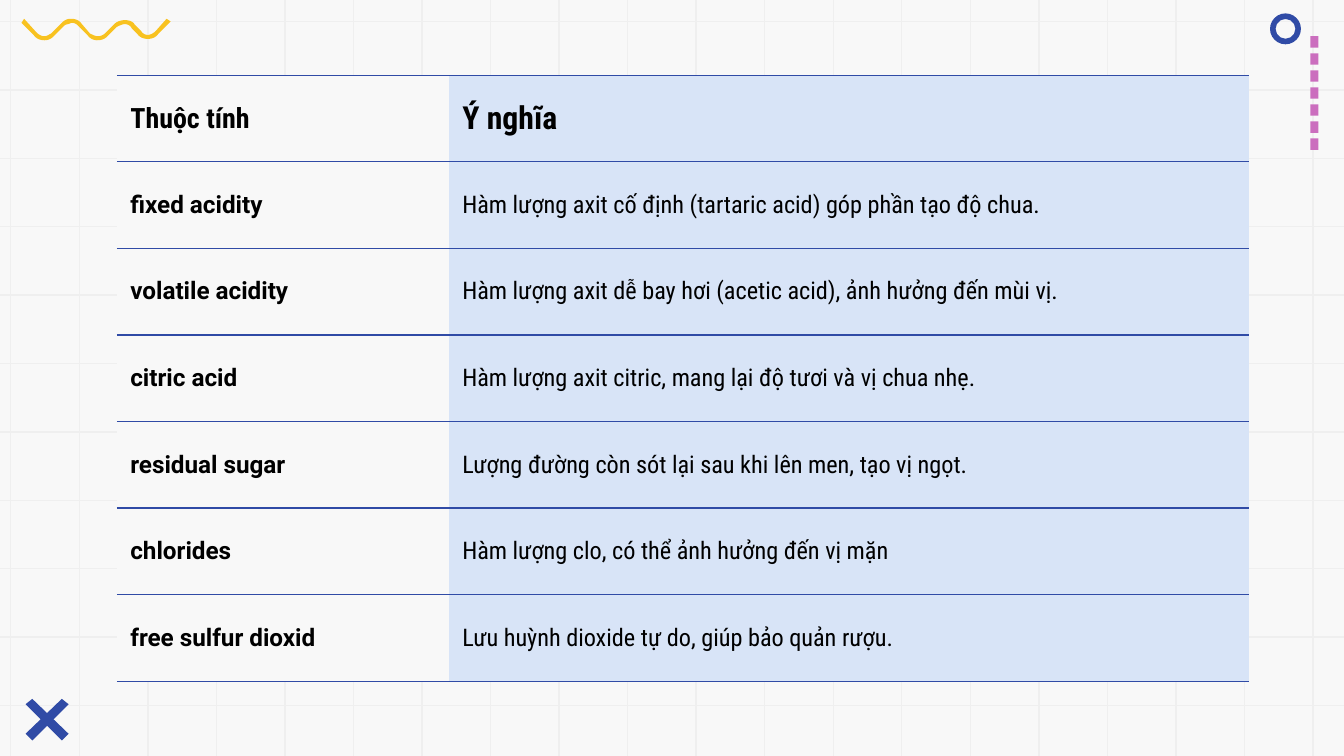
from lxml.etree import SubElement as Sub
from pptx import Presentation
from pptx.dml.color import RGBColor
from pptx.enum.shapes import MSO_CONNECTOR as Conn, MSO_SHAPE as Kind
from pptx.enum.text import MSO_ANCHOR as Anchor
from pptx.oxml import parse_xml
from pptx.oxml.ns import nsdecls, qn
from pptx.util import Pt

WIDE = 1000
HIGH = WIDE * 9 / 16
BLUE, PINK, GOLD = "304BA6", "CB6EBE", "F8C220"
PALE, GRAY, SKY, BLACK = "F8F8F8", "EFEFEF", "D8E4F7", "000000"
SANS, SLIM = "Roboto", "Roboto Condensed"

HEAD = ("Thuộc tính", "Ý nghĩa")
ROWS = [
    ("fixed acidity", "Hàm lượng axit cố định (tartaric acid) góp phần tạo độ chua."),
    ("volatile acidity", "Hàm lượng axit dễ bay hơi (acetic acid), ảnh hưởng đến mùi vị."),
    ("citric acid", "Hàm lượng axit citric, mang lại độ tươi và vị chua nhẹ."),
    ("residual sugar", "Lượng đường còn sót lại sau khi lên men, tạo vị ngọt."),
    ("chlorides", "Hàm lượng clo, có thể ảnh hưởng đến vị mặn"),
    ("free sulfur dioxid", "Lưu huỳnh dioxide tự do, giúp bảo quản rượu."),
]
LEFT, TOP, TALL = 87, 56, 451
COLS = (247, 595)

# Cross: two bars
BARS = [
    [(24, 520), (19, 524), (46, 551), (51, 546)],
    [(46, 520), (19, 546), (24, 551), (51, 524)],
]
# Wave outline: two numbers are a line, six are a curve
WAVE = [
    (18, 14), (16, 17), (25, 26), (27, 29, 30, 30, 33, 30),
    (36, 30, 38, 29, 40, 27), (48, 19), (49, 18, 52, 18, 53, 17),
    (56, 17, 57, 18, 59, 20), (65, 26), (67, 29, 70, 30, 72, 30),
    (76, 30, 78, 29, 80, 27), (87, 20), (89, 19, 91, 18, 93, 18),
    (95, 18, 97, 19, 98, 21), (102, 25), (104, 28, 107, 29, 110, 29),
    (113, 29, 116, 28, 118, 25), (127, 16), (124, 14), (116, 23),
    (114, 25, 112, 26, 110, 26), (108, 26, 106, 25, 105, 23), (100, 18),
    (99, 16, 96, 15, 93, 15), (90, 15, 87, 16, 85, 18), (78, 25),
    (77, 26, 75, 27, 73, 27), (71, 27, 69, 26, 67, 25), (61, 18),
    (59, 15, 56, 14, 53, 14), (50, 14, 48, 15, 46, 17), (38, 25),
    (36, 26, 35, 27, 33, 27), (31, 27, 29, 26, 27, 24),
]


def px(num):
    return round(num * 9144)


def tint(code):
    return RGBColor.from_string(code)


def paint(shape, code):
    shape.shadow.inherit = False
    shape.fill.solid()
    shape.fill.fore_color.rgb = tint(code)
    shape.line.fill.background()


def block(kind, box, code):
    shape = slide.shapes.add_shape(kind, *map(px, box))
    paint(shape, code)
    return shape


def rule(*ends):
    line = slide.shapes.add_connector(Conn.STRAIGHT, *map(px, ends))
    line.line.color.rgb = tint(GRAY)
    line.line.width = Pt(0.75)
    Sub(line._element.spPr, qn("a:effectLst"))


def trace(steps, code, cuts=8):
    dots = []
    for step in steps:
        if len(step) == 2:
            dots.append(step)
            continue
        a, b, c, d = dots[-1], step[:2], step[2:4], step[4:]
        for t in (i / cuts for i in range(1, cuts + 1)):
            u = 1 - t
            dots.append(tuple(
                u**3 * p + 3 * u * u * t * q + 3 * u * t * t * r + t**3 * s
                for p, q, r, s in zip(a, b, c, d)))
    dots = [(px(x), px(y)) for x, y in dots]
    form = slide.shapes.build_freeform(*dots[0], scale=1)
    form.add_line_segments(dots[1:], close=True)
    paint(form.convert_to_shape(), code)


def write(cell, text, size=13, font=SLIM, bold=False, color=BLACK):
    run = cell.text_frame.paragraphs[0].add_run()
    run.text = text
    run.font.size, run.font.name, run.font.bold = Pt(size), font, bold
    run.font.color.rgb = tint(color)


def dress(cell, code):
    cell.vertical_anchor = Anchor.MIDDLE
    cell.margin_left = cell.margin_right = px(10)
    cell.margin_top = cell.margin_bottom = 0
    cell.fill.solid()
    cell.fill.fore_color.rgb = tint(code)
    ink = f'<a:solidFill><a:srgbClr val="{BLUE}"/></a:solidFill>'
    for at, side in enumerate("LRTB"):
        body = ink if side in "TB" else "<a:noFill/>"
        edge = parse_xml(f'<a:ln{side} {nsdecls("a")} w="{Pt(0.75)}">{body}</a:ln{side}>')
        cell._tc.tcPr.insert(at, edge)


deck = Presentation()
deck.slide_width, deck.slide_height = px(WIDE), px(HIGH)
slide = deck.slides.add_slide(deck.slide_layouts[6])
slide.background.fill.solid()
slide.background.fill.fore_color.rgb = tint(PALE)

# Square grid
for i in range(11):
    y = 16 + i * 50.9
    rule(WIDE, y, 0, y)
for i in range(20):
    x = 8 + i * 51
    rule(x, 0, x, HIGH)

# Corner marks
for i in range(7):
    block(Kind.RECTANGLE, (975, 27 + i * 12.67, 6, 8.5), PINK)
for bar in BARS:
    trace(bar, BLUE)
trace(WAVE, GOLD)
ring = block(Kind.DONUT, (945, 10, 23, 23), BLUE)
ring.adjustments[0] = 0.18

# Table of attributes
lines = [HEAD] + ROWS
table = slide.shapes.add_table(
    len(lines), len(COLS), px(LEFT), px(TOP), px(sum(COLS)), px(TALL)).table
table.first_row = table.horz_banding = False
for col, wide in zip(table.columns, COLS):
    col.width = px(wide)
for r, (name, note) in enumerate(lines):
    table.rows[r].height = px(TALL / len(lines))
    one, two = table.rows[r].cells
    dress(one, PALE)
    dress(two, SKY)
    if r == 0:
        write(one, name, size=15, bold=True)
        write(two, note, size=17, bold=True)
    else:
        write(one, name, font=SANS, bold=True)
        write(two, note)

deck.save("out.pptx")
